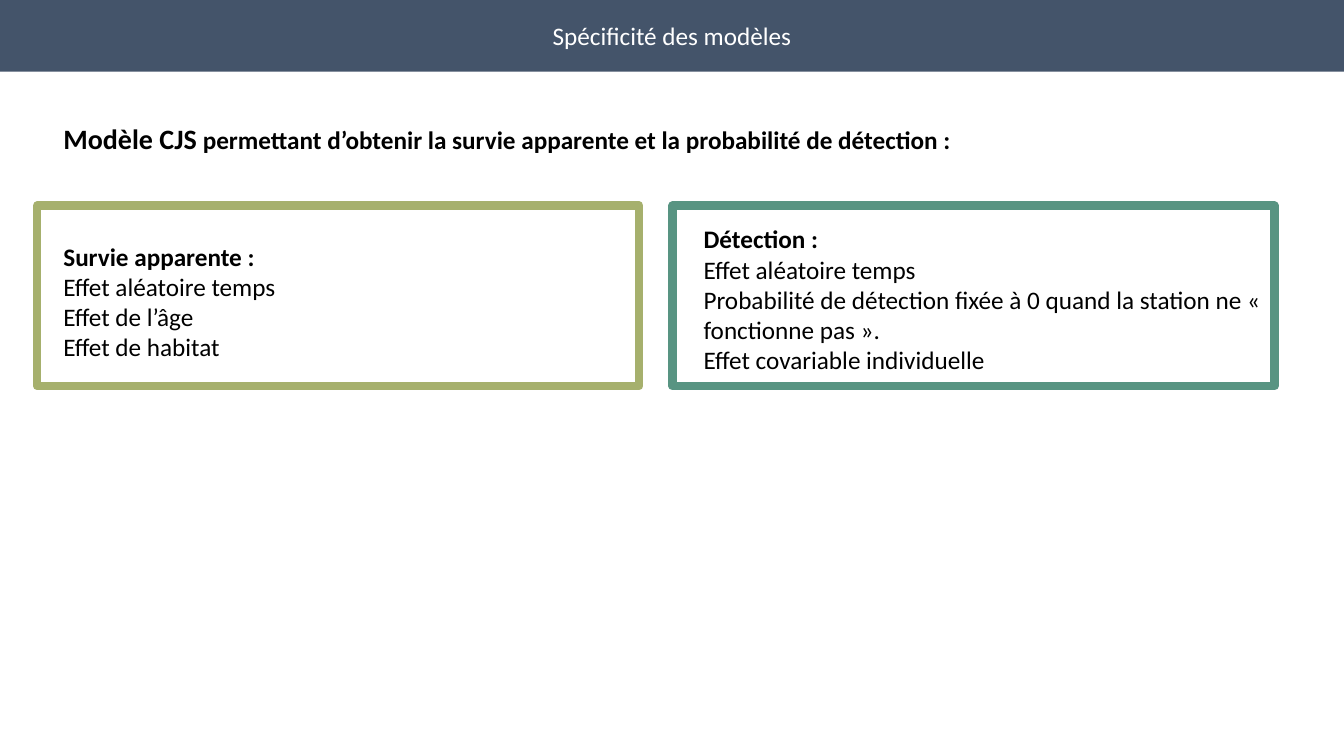
from pptx import Presentation
from pptx.dml.color import RGBColor
from pptx.enum.shapes import MSO_SHAPE
from pptx.enum.text import MSO_ANCHOR, MSO_AUTO_SIZE, PP_ALIGN
from pptx.util import Inches, Pt

FONT = "Calibri"
FRAME_TOP, FRAME_WIDTH, FRAME_HEIGHT = 2.04, 5.97, 1.79
FRAME_LEFT, FRAME_STEP = 0.37, 6.3


def color(hex_string):
    return RGBColor.from_string(hex_string)


def add_lines(left, top, width, height, lines):
    """Add a wrapped text box whose first line is bold; return its paragraphs."""
    frame = slide.shapes.add_textbox(
        Inches(left), Inches(top), Inches(width), Inches(height)
    ).text_frame
    frame.word_wrap = True
    frame.text = "\n".join(lines)
    for index, paragraph in enumerate(frame.paragraphs):
        paragraph.font.name = FONT
        paragraph.font.size = Pt(18)
        paragraph.font.bold = index == 0
        paragraph.font.color.rgb = color("000000")
    return frame.paragraphs


presentation = Presentation()
presentation.slide_width = Inches(13.33)
presentation.slide_height = Inches(7.5)
slide = presentation.slides.add_slide(presentation.slide_layouts[5])

# Title banner
banner = slide.shapes.title
banner.left, banner.top = 0, 0
banner.width, banner.height = presentation.slide_width, Inches(0.71)
banner.fill.solid()
banner.fill.fore_color.rgb = color("44546A")
banner.text_frame.text = "Spécificité des modèles"
banner.text_frame.auto_size = MSO_AUTO_SIZE.NONE
banner.text_frame.vertical_anchor = MSO_ANCHOR.MIDDLE
heading = banner.text_frame.paragraphs[0]
heading.alignment = PP_ALIGN.CENTER
heading.font.name = FONT
heading.font.size = Pt(18)
heading.font.color.rgb = color("FFFFFF")

# Introduction, with the model's name slightly larger
introduction = add_lines(0.53, 1.16, 11.06, 0.74, ["Modèle CJS"])[0]
introduction.runs[0].font.size = Pt(20)
introduction.add_run().text = (
    " permettant d’obtenir la survie apparente et la probabilité de détection :"
)

# One framed list of effects per model parameter
parameters = [
    ("A6B06D", (0.53, 2.34, 5.81, 1.62), [
        "Survie apparente :",
        "Effet aléatoire temps",
        "Effet de l’âge",
        "Effet de habitat",
    ]),
    ("589482", (6.88, 2.17, 6.09, 2.22), [
        "Détection :",
        "Effet aléatoire temps",
        "Probabilité de détection fixée à 0 quand la station ne « fonctionne pas ».",
        "Effet covariable individuelle",
    ]),
]
for column, (border_color, text_area, effects) in enumerate(parameters):
    border = slide.shapes.add_shape(
        MSO_SHAPE.RECTANGLE,
        Inches(FRAME_LEFT + column * FRAME_STEP), Inches(FRAME_TOP),
        Inches(FRAME_WIDTH), Inches(FRAME_HEIGHT),
    )
    border.shadow.inherit = False
    border.fill.background()
    border.line.color.rgb = color(border_color)
    border.line.width = Pt(6)
    add_lines(*text_area, effects)

presentation.save("out.pptx")
